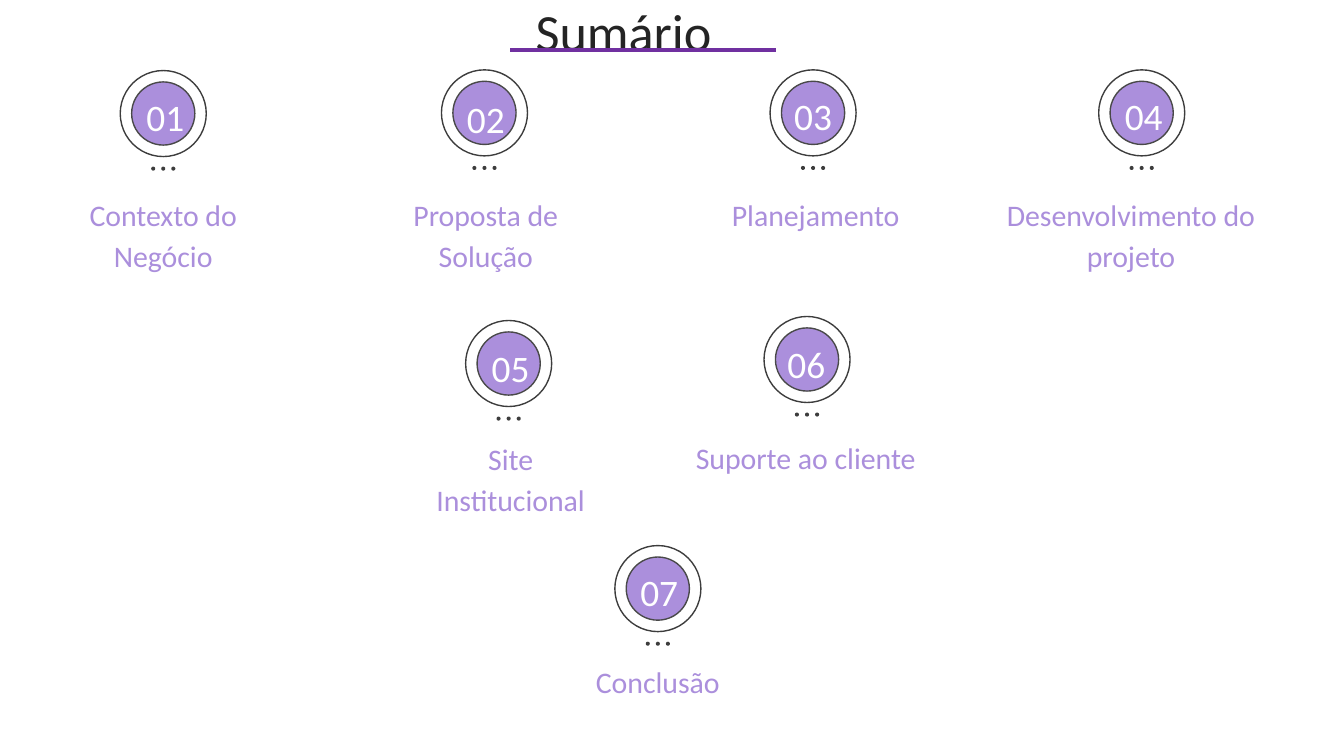
from lxml.etree import SubElement
from pptx import Presentation
from pptx.dml.color import RGBColor
from pptx.enum.shapes import MSO_CONNECTOR as Connector, MSO_SHAPE as Shape
from pptx.enum.text import MSO_ANCHOR as Anchor, MSO_AUTO_SIZE as AutoSize, PP_ALIGN as Align
from pptx.oxml.ns import qn
from pptx.util import Pt

PX = 4572
LILAC = "AB8FDC"
GRAPHITE = "3D3D3D"


def write(shape, text, size, color, align=Align.CENTER, anchor=Anchor.TOP, spacing=1.15):
    frame = shape.text_frame
    frame.text = text
    frame.word_wrap = True
    frame.auto_size = AutoSize.NONE
    frame.vertical_anchor = anchor
    frame.margin_left = frame.margin_right = 20 * PX
    frame.margin_top = frame.margin_bottom = 20 * PX
    paragraph = frame.paragraphs[0]
    paragraph.alignment = align
    paragraph.line_spacing = spacing
    font = paragraph.runs[0].font
    font.name = "Calibri"
    font.size = Pt(size)
    font.color.rgb = RGBColor.from_string(color)


def add_circle(group, left, top, diameter, fill, line=None):
    circle = group.shapes.add_shape(Shape.OVAL, left * PX, top * PX, diameter * PX, diameter * PX)
    circle.shadow.inherit = False
    circle.fill.solid()
    circle.fill.fore_color.rgb = RGBColor.from_string(fill)
    if line:
        circle.line.color.rgb = RGBColor.from_string(line)
        circle.line.width = Pt(0.75)
    else:
        circle.line.fill.background()


presentation = Presentation()
presentation.slide_width = 2000 * PX
presentation.slide_height = 1125 * PX
slide = presentation.slides.add_slide(presentation.slide_layouts[5])

title = slide.shapes.title
title.left, title.top, title.width, title.height = 777 * PX, -35 * PX, 446 * PX, 84 * PX
write(title, "Sumário", 28, "242424", align=Align.LEFT)

underline = slide.shapes.add_connector(Connector.STRAIGHT, 759 * PX, 74 * PX, 1155 * PX, 74 * PX)
underline.line.color.rgb = RGBColor.from_string("7030A0")
underline.line.width = Pt(2.25)
SubElement(underline._element.spPr, qn("a:effectLst"))

topics = [
    ("Contexto do Negócio", (179, 105), (195, 134, 102), (80, 265, 326)),
    ("Proposta de Solução", (657, 104), (664, 138, 118), (557, 265, 332)),
    ("Planejamento", (1146, 104), (1153, 133, 114), (1042, 265, 344)),
    ("Desenvolvimento do projeto", (1635, 104), (1638, 133, 128), (1471, 265, 424)),
    ("Site Institucional", (693, 477), (696, 508, 128), (597, 628, 326)),
    ("Suporte ao cliente", (1137, 471), (1137, 502, 126), (1007, 627, 384)),
    ("Conclusão", (915, 812), (917, 842, 128), (813, 960, 332)),
]

for index, (topic, badge_at, number_at, label_at) in enumerate(topics, start=1):
    left, top = badge_at
    badge = slide.shapes.add_group_shape()
    add_circle(badge, left, top, 128, "FFFFFF", GRAPHITE)
    add_circle(badge, left + 17, top + 17, 94, LILAC, "494949")
    for dot in range(3):
        add_circle(badge, left + 46 + 15 * dot, top + 143, 6, GRAPHITE)

    left, top, width = number_at
    number = slide.shapes.add_textbox(left * PX, top * PX, width * PX, 78 * PX)
    write(number, f"{index:02}", 20, "FFFFFF", anchor=Anchor.MIDDLE, spacing=1.0)

    left, top, width = label_at
    label = slide.shapes.add_textbox(left * PX, top * PX, width * PX, 84 * PX)
    write(label, topic, 16, LILAC)

presentation.save("out.pptx")
